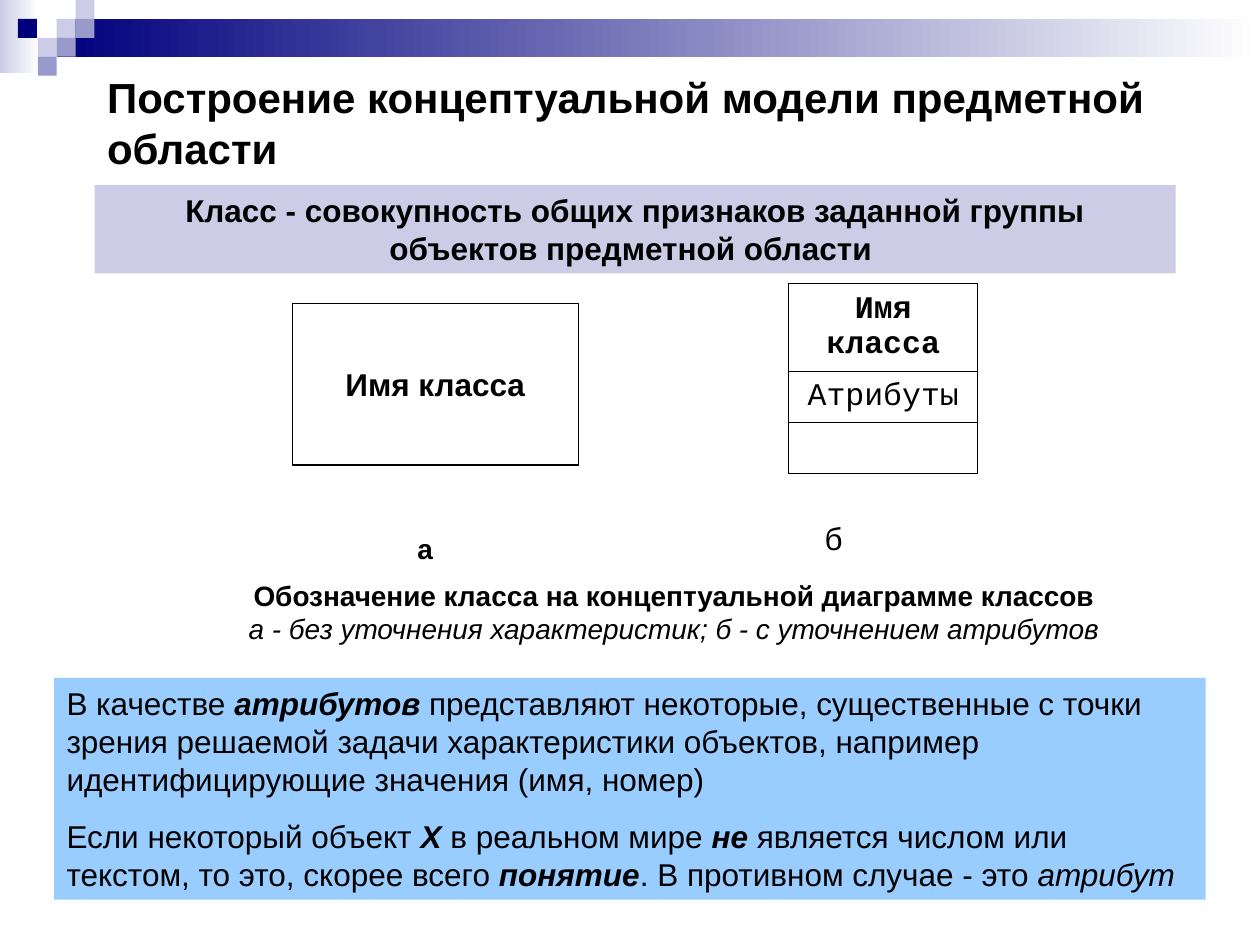
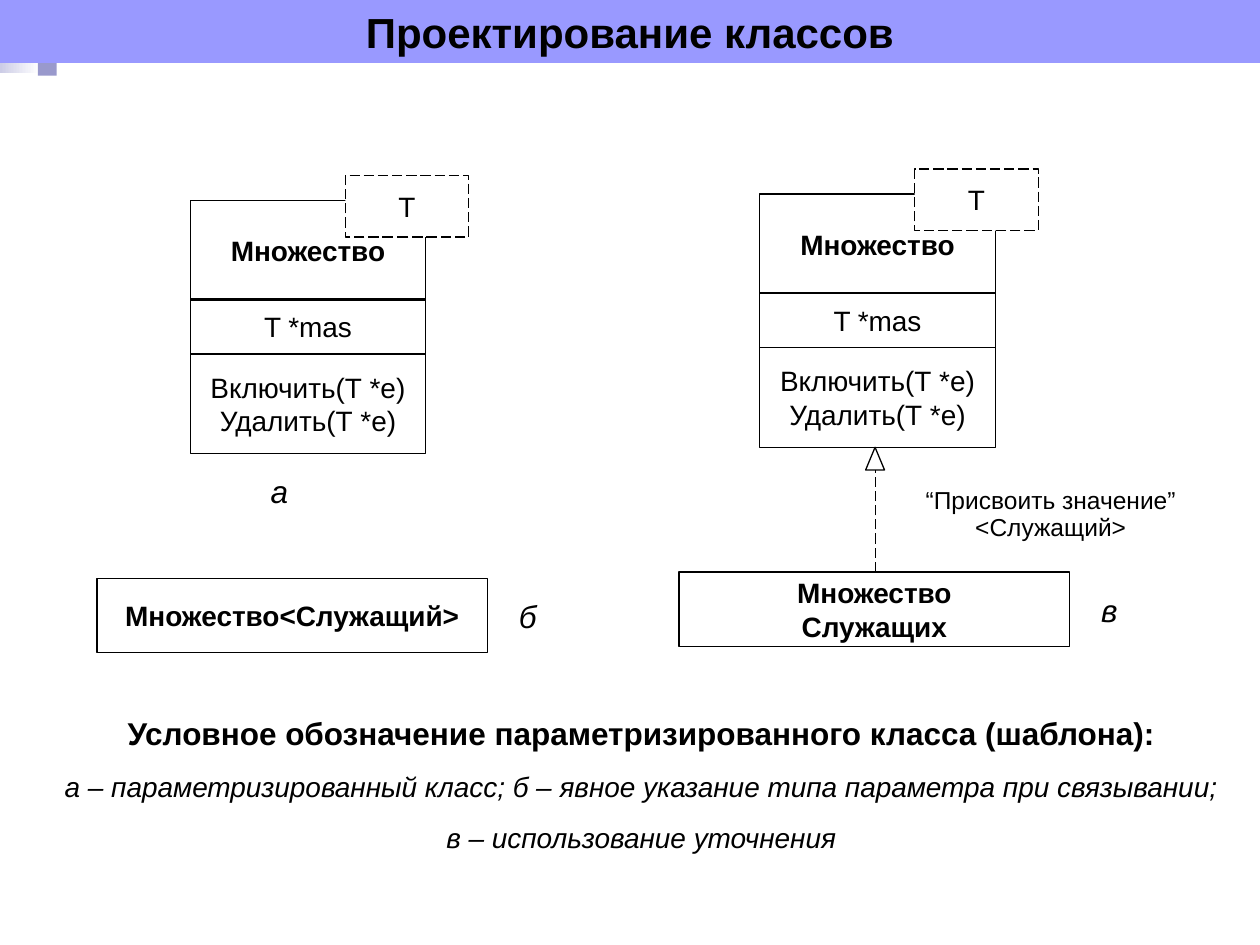
from dataclasses import dataclass

from lxml import etree
from pptx import Presentation
from pptx.dml.color import RGBColor
from pptx.enum.dml import MSO_LINE
from pptx.enum.shapes import MSO_CONNECTOR, MSO_SHAPE
from pptx.enum.text import MSO_ANCHOR, MSO_AUTO_SIZE, PP_ALIGN
from pptx.oxml.ns import qn
from pptx.util import Inches, Pt

RECTANGLE = MSO_SHAPE.RECTANGLE
TRIANGLE = MSO_SHAPE.ISOSCELES_TRIANGLE
STRAIGHT = MSO_CONNECTOR.STRAIGHT
LONG_DASH = MSO_LINE.LONG_DASH
LEFT, CENTER = PP_ALIGN.LEFT, PP_ALIGN.CENTER
TOP, MIDDLE = MSO_ANCHOR.TOP, MSO_ANCHOR.MIDDLE
NO_AUTOFIT = MSO_AUTO_SIZE.NONE
TITLE_ONLY = 5


@dataclass(frozen=True)
class Theme:
    """Colours, fonts and type sizes shared by the slides."""
    ink: str = "000000"
    paper: str = "FFFFFF"
    navy: str = "00007D"
    lavender: str = "CCCCE6"
    violet: str = "9999CC"
    header: str = "9999FF"
    sky: str = "99CCFF"
    font: str = "Arial"
    code_font: str = "Courier New"
    title: int = 24
    body: int = 18
    label: int = 16
    note: int = 14
    outline: float = 0.74
    table_line: float = 0.45


THEME = Theme()
SQUARE = 0.15
CORNER_SQUARES = [
    (3, 1, THEME.lavender), (4, 0, THEME.lavender), (4, 1, THEME.violet),
    (2, 2, THEME.lavender), (0.95, 1, THEME.navy), (3, 2, THEME.violet),
    (2, 3, THEME.violet),
]


def inches(box):
    """Convert a box in inches to lengths."""
    return [Inches(value) for value in box]


def color(value):
    """Return the colour object for a hex value."""
    return RGBColor.from_string(value)


def write(shape, text, size=THEME.body, style="", font=THEME.font,
          align=CENTER, space_before=0, line_spacing=None):
    """Add one paragraph of a string or of (text, style) runs, b bold and i italic."""
    frame = shape.text_frame
    paragraph = frame.paragraphs[0]
    if paragraph.runs:
        paragraph = frame.add_paragraph()
    paragraph.alignment = align
    paragraph.space_before = Pt(space_before)
    if line_spacing:
        paragraph.line_spacing = line_spacing
    runs = [(text, style)] if isinstance(text, str) else text
    for content, run_style in runs:
        run = paragraph.add_run()
        run.text = content
        run.font.name = font
        run.font.size = Pt(size)
        run.font.bold = "b" in run_style
        run.font.italic = "i" in run_style
        run.font.color.rgb = color(THEME.ink)


def set_frame(shape, anchor=TOP):
    """Make the text of a shape wrap, with the given anchor."""
    frame = shape.text_frame
    frame.auto_size = NO_AUTOFIT
    frame.word_wrap = True
    frame.vertical_anchor = anchor


def set_outline(line, dash=None):
    """Give a line the thin dark outline."""
    line.color.rgb = color(THEME.ink)
    line.width = Pt(THEME.outline)
    if dash:
        line.dash_style = dash


def add_box(slide, box, fill=None, outlined=False, dash=None,
            anchor=MIDDLE, preset=RECTANGLE):
    """Add a flat preset shape with optional fill and outline."""
    shape = slide.shapes.add_shape(preset, *inches(box))
    shape.shadow.inherit = False
    if fill:
        shape.fill.solid()
        shape.fill.fore_color.rgb = color(fill)
    else:
        shape.fill.background()
    if outlined:
        set_outline(shape.line, dash)
    else:
        shape.line.fill.background()
    set_frame(shape, anchor)
    return shape


def add_text(slide, box):
    """Add an empty wrapping text box."""
    shape = slide.shapes.add_textbox(*inches(box))
    set_frame(shape)
    return shape


def add_fade(slide, box, start):
    """Add a bar fading from a colour to paper, left to right."""
    bar = add_box(slide, box, THEME.paper)
    bar.fill.gradient()
    bar.fill.gradient_angle = 0
    for stop, value, position in zip(bar.fill.gradient_stops, (start, THEME.paper), (0, 1)):
        stop.color.rgb = color(value)
        stop.position = position


def add_corner(slide, squares, ribbon=True):
    """Draw the corner fade, the top ribbon and the mosaic squares."""
    add_fade(slide, (0, 0, 0.31, 0.58), THEME.lavender)
    if ribbon:
        add_fade(slide, (0.45, SQUARE, 9.55, 2 * SQUARE), THEME.navy)
    for column, row, fill in squares:
        add_box(slide, (column * SQUARE, row * SQUARE, SQUARE, SQUARE), fill)


def set_title(slide, box, text, align=LEFT, fill=None):
    """Place and format the title in front of the corner ornament."""
    title = slide.shapes.title
    title.left, title.top, title.width, title.height = inches(box)
    slide.shapes._spTree.append(title._element)
    set_frame(title)
    if fill:
        title.fill.solid()
        title.fill.fore_color.rgb = color(fill)
    write(title, text, size=THEME.title, style="b", align=align)


def set_borders(cell):
    """Draw thin lines on all four sides of a table cell."""
    properties = cell._tc.get_or_add_tcPr()
    for index, side in enumerate(("a:lnL", "a:lnR", "a:lnT", "a:lnB")):
        line = etree.Element(qn(side), w=str(Pt(THEME.table_line)))
        fill = etree.SubElement(line, qn("a:solidFill"))
        etree.SubElement(fill, qn("a:srgbClr"), val=THEME.ink)
        properties.insert(index, line)


def add_class_table(slide, box, row_heights, rows):
    """Add a one-column class table with (text, style) rows."""
    table = slide.shapes.add_table(len(rows), 1, *inches(box)).table
    table.first_row = table.horz_banding = False
    for index, (text, style) in enumerate(rows):
        table.rows[index].height = Inches(row_heights[index])
        cell = table.cell(index, 0)
        cell.vertical_anchor = MIDDLE
        cell.fill.solid()
        cell.fill.fore_color.rgb = color(THEME.paper)
        set_borders(cell)
        if text:
            write(cell, text, style=style, font=THEME.code_font)


def add_template_class(slide, left, top):
    """Draw a parametrized class with its dashed parameter box."""
    width = 1.87
    sections = [
        (0, 0.79, ["Множество"], "b"),
        (0.78, 0.44, ["T *mas"], ""),
        (1.22, 0.79, ["Включить(Т *е)", "Удалить(Т *е)"], ""),
    ]
    for offset, height, lines, style in sections:
        section = add_box(slide, (left, top + offset, width, height), outlined=True)
        for line in lines:
            write(section, line, size=THEME.label, style=style)
    parameter = add_box(slide, (left + 1.23, top - 0.2, 0.98, 0.49),
                        THEME.paper, outlined=True, dash=LONG_DASH)
    write(parameter, "Т", size=THEME.label)


def add_bound_class(slide, left, top, lines, letter):
    """Draw a bound class and its letter on the right."""
    bound = add_box(slide, (left, top, 3.1, 0.59), outlined=True)
    for line in lines:
        write(bound, line, size=THEME.label, style="b")
    add_letter(slide, left + 3.25, top + 0.1, letter)


def add_letter(slide, left, top, letter):
    """Add the italic letter of a figure part."""
    write(add_text(slide, (left, top, 0.44, 0.4)), letter, style="i", align=LEFT)


def add_refinement(slide, center, top, bottom):
    """Draw the dashed refinement line with its hollow triangle and note."""
    line = slide.shapes.add_connector(
        STRAIGHT, *inches((center, bottom, center, top)))
    set_outline(line.line, LONG_DASH)
    etree.SubElement(line._element.spPr, qn("a:effectLst"))
    add_box(slide, (center - 0.08, top, 0.15, 0.18), THEME.paper,
            outlined=True, preset=TRIANGLE)
    note = add_text(slide, (center + 0.21, top + 0.25, 2.36, 0.53))
    write(note, "“Присвоить значение”", size=THEME.note)
    write(note, "<Служащий>", size=THEME.note, space_before=8.8, line_spacing=0.3)


def add_notation(slide, left, top):
    """Draw the two class notations with their letters and caption."""
    plain = add_box(slide, (left, top + 0.16, 2.27, 1.28), THEME.paper, outlined=True)
    write(plain, "Имя класса", style="b")
    add_class_table(slide, (left + 3.94, top, 1.5, 1.5), (0.7, 0.4, 0.4),
                    [("Имя класса", "b"), ("Атрибуты", ""), ("", "")])
    for offset, drop, letter, size, style in (
            (0.78, 1.97, "а", THEME.label, "b"), (4.02, 1.87, "б", THEME.body, "")):
        label = add_text(slide, (left + offset, top + drop, 0.55, 0.39))
        frame = label.text_frame
        frame.margin_left = frame.margin_right = Inches(0.02)
        frame.margin_top = frame.margin_bottom = 0
        write(label, letter, size=size, style=style)
    caption = add_text(slide, (left - 0.79, top + 2.29, 7.64, 0.64))
    write(caption, "Обозначение класса на концептуальной диаграмме классов",
          size=THEME.label, style="b")
    write(caption, "а - без уточнения характеристик; б - с уточнением атрибутов",
          size=THEME.label, style="i")


def build_model_slide(slide):
    """Build the slide on the conceptual model."""
    add_corner(slide, CORNER_SQUARES)
    set_title(slide, (0.75, 0.52, 8.58, 0.9),
              "Построение концептуальной модели предметной области")
    definition = add_box(slide, (0.75, 1.47, 8.58, 0.7), THEME.lavender, anchor=TOP)
    write(definition, "Класс - совокупность общих признаков заданной группы "
          "объектов предметной области ", style="b")
    add_notation(slide, 2.32, 2.25)
    remarks = add_box(slide, (0.43, 5.38, 9.14, 1.76), THEME.sky, anchor=TOP)
    write(remarks, [
        ("В качестве ", ""), ("атрибутов ", "bi"),
        ("представляют некоторые, существенные с точки зрения решаемой задачи "
         "характеристики объектов, например идентифицирующие значения "
         "(имя, номер) ", "")], align=LEFT)
    write(remarks, [
        ("Если некоторый объект ", ""), ("X", "bi"), (" в реальном мире ", ""),
        ("не", "bi"), (" является числом или текстом, то это, скорее всего ", ""),
        ("понятие", "bi"), (". В противном случае - это ", ""),
        ("атрибут", "i")], align=LEFT, space_before=11.2)


def build_design_slide(slide):
    """Build the slide on parametrized classes."""
    add_corner(slide, CORNER_SQUARES[-1:], ribbon=False)
    set_title(slide, (0, 0, 10, 0.5), "Проектирование классов", CENTER, THEME.header)
    add_template_class(slide, 1.51, 1.59)
    add_letter(slide, 2.05, 3.7, "а")
    add_bound_class(slide, 0.77, 4.59, ["Множество<Служащий>"], "б")
    add_template_class(slide, 6.03, 1.54)
    add_refinement(slide, 6.95, 3.55, 4.54)
    add_bound_class(slide, 5.39, 4.54, ["Множество", "Служащих"], "в")
    caption = add_text(slide, (0.18, 5.62, 9.82, 1.21))
    write(caption, "Условное обозначение параметризированного класса (шаблона):",
          style="b")
    for line in ("а – параметризированный класс; б – явное указание типа "
                 "параметра при связывании;", "в – использование уточнения"):
        write(caption, line, size=THEME.label, style="i", space_before=10)


def main():
    """Build and save the presentation."""
    presentation = Presentation()
    presentation.slide_width, presentation.slide_height = Inches(10), Inches(7.5)
    layout = presentation.slide_layouts[TITLE_ONLY]
    for build in (build_model_slide, build_design_slide):
        build(presentation.slides.add_slide(layout))
    presentation.save("out.pptx")


main()
